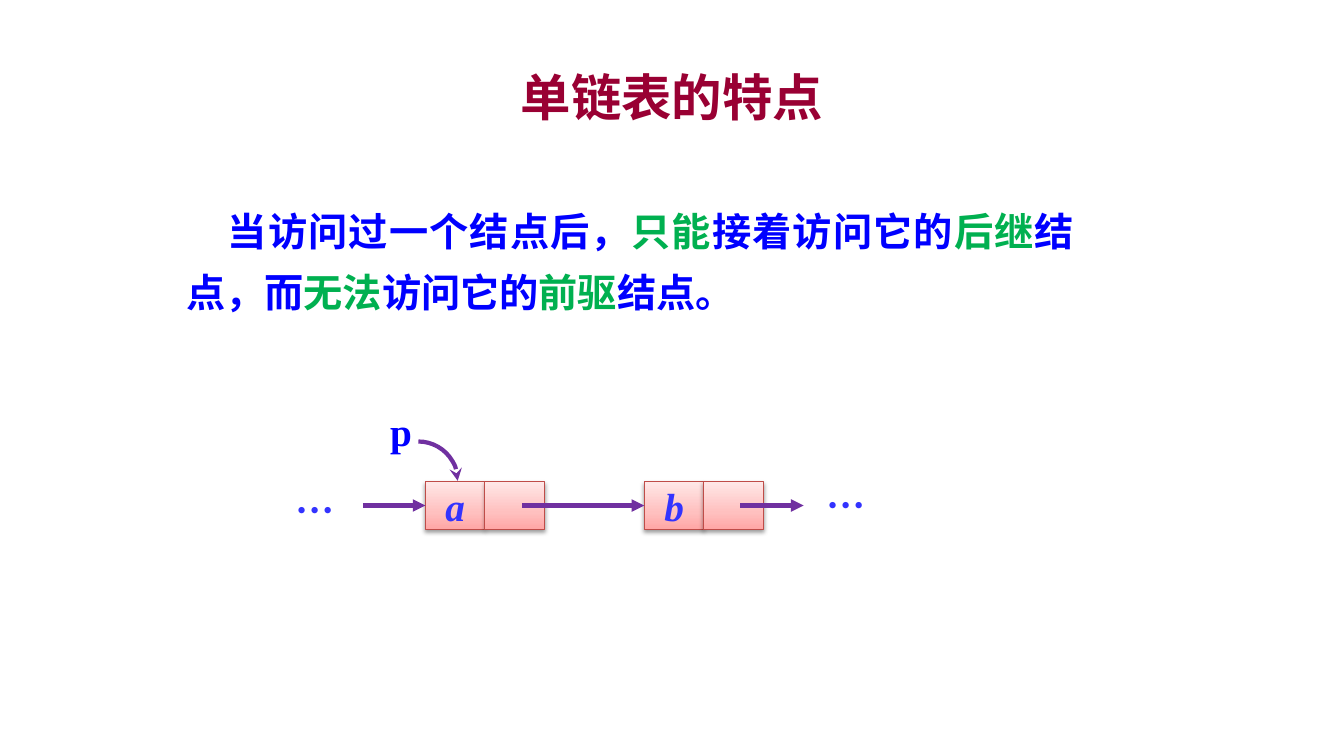
"""Build a slide on the characteristics of a singly linked list."""
from copy import deepcopy

from lxml.etree import SubElement
from pptx import Presentation
from pptx.dml.color import RGBColor
from pptx.enum.shapes import MSO_CONNECTOR as CONNECTOR, MSO_SHAPE as SHAPE
from pptx.enum.text import MSO_ANCHOR as ANCHOR, PP_ALIGN as ALIGN
from pptx.oxml.ns import qn
from pptx.util import Inches, Pt

SANS, SERIF = "Noto Sans CJK SC", "Times New Roman"
BLUE, GREEN, PURPLE, LABEL = "0000FF", "00B050", "7030A0", "3333FF"
CELL_WIDTH, CELL_HEIGHT, CELL_TOP = 0.59, 0.47, 4.78
MIDDLE = CELL_TOP + CELL_HEIGHT / 2
GRADIENT = [(0, "FFA6A5"), (0.35, "FFC0BF"), (1, "FFE7E7")]
STATEMENT = [
    ("当访问过一个结点后，", BLUE), ("只能", GREEN), ("接着访问它的", BLUE),
    ("后继", GREEN), ("结点，而", BLUE), ("无法", GREEN),
    ("访问它的", BLUE), ("前驱", GREEN), ("结点。", BLUE),
]


def rgb(color):
    """Turn a hex string into a colour."""
    return RGBColor.from_string(color)


def style_run(run, font, size, color, italic=False):
    """Format a bold run, for East Asian letters as well."""
    run.font.name, run.font.size = font, Pt(size)
    run.font.bold, run.font.italic = True, italic
    run.font.color.rgb = rgb(color)
    SubElement(run.font._element, qn("a:ea"), typeface=font)


def add_text(slide, box, parts, font=SANS, size=28, align=ALIGN.CENTER, anchor=ANCHOR.TOP):
    """Add a text box of coloured parts and return its paragraph."""
    frame = slide.shapes.add_textbox(*map(Inches, box)).text_frame
    frame.word_wrap, frame.vertical_anchor = True, anchor
    paragraph = frame.paragraphs[0]
    paragraph.alignment = align
    for text, color in parts:
        run = paragraph.add_run()
        run.text = text
        style_run(run, font, size, color)
    return paragraph


def add_cell(slide, left, text=""):
    """Add one shaded half of a list node."""
    box = map(Inches, (left, CELL_TOP, CELL_WIDTH, CELL_HEIGHT))
    cell = slide.shapes.add_shape(SHAPE.RECTANGLE, *box)
    cell.fill.gradient()
    cell.fill.gradient_angle = 90
    properties = cell._element.spPr
    stops = properties.find(".//" + qn("a:gsLst"))
    stops.insert(1, deepcopy(stops[0]))
    for stop, (position, color) in zip(cell.fill.gradient_stops, GRADIENT):
        stop.position, stop.color.rgb = position, rgb(color)
    cell.line.color.rgb, cell.line.width = rgb("BF4C48"), Pt(0.75)
    cell.shadow.inherit = False
    shadow = SubElement(properties.find(qn("a:effectLst")), qn("a:outerShdw"),
                        blurRad=str(Pt(3.1)), dist=str(Pt(1.6)), dir="5400000", rotWithShape="0")
    shade = SubElement(shadow, qn("a:srgbClr"), val="000000")
    SubElement(shade, qn("a:alpha"), val="38000")
    if text:
        frame = cell.text_frame
        frame.text, frame.word_wrap = text, False
        frame.vertical_anchor = ANCHOR.MIDDLE
        frame.paragraphs[0].alignment = ALIGN.CENTER
        style_run(frame.paragraphs[0].runs[0], SERIF, 28, LABEL, italic=True)
    return cell


def add_node(slide, left, text):
    """Add a node of a data cell and a pointer cell; return the data cell."""
    data = add_cell(slide, left, text)
    add_cell(slide, left + CELL_WIDTH, )
    return data


def style_arrow(line, head):
    """Draw a thick purple line with a head at its end."""
    line.color.rgb, line.width = rgb(PURPLE), Pt(3)
    SubElement(line._get_or_add_ln(), qn("a:tailEnd"), type=head)


def add_link(slide, start, end, target=None):
    """Add a level arrow, joined to the left side of a target cell if given."""
    ends = map(Inches, (start, MIDDLE, end, MIDDLE))
    link = slide.shapes.add_connector(CONNECTOR.STRAIGHT, *ends)
    if target is not None:
        link.end_connect(target, 1)
    style_arrow(link.line, "triangle")
    SubElement(link._element.spPr, qn("a:effectLst"))


def add_pointer(slide, left, top, diameter):
    """Add a quarter-circle arrow from the top to the right of a circle."""
    box = map(Inches, (left, top, diameter, diameter))
    pointer = slide.shapes.add_shape(SHAPE.ARC, *box)
    pointer.fill.background()
    pointer.shadow.inherit = False
    style_arrow(pointer.line, "stealth")


def main():
    """Build the slide and save it."""
    presentation = Presentation()
    presentation.slide_width, presentation.slide_height = Inches(13.33), Inches(7.5)
    slide = presentation.slides.add_slide(presentation.slide_layouts[6])

    add_text(slide, (1, 0.58, 11.33, 0.75), [("单链表的特点", "990033")],
             size=36, anchor=ANCHOR.MIDDLE)
    statement = add_text(slide, (1.75, 1.87, 9, 1.24), STATEMENT, align=ALIGN.JUSTIFY)
    statement.line_spacing = 1.3
    statement._p.get_or_add_pPr().set("indent", str(Inches(0.41)))

    node_a = add_node(slide, 4.22, "a")
    node_b = add_node(slide, 6.39, "b")
    add_link(slide, 3.6, 4.22, node_a)
    add_link(slide, 5.18, 6.39, node_b)
    add_link(slide, 7.34, 7.97)
    add_text(slide, (2.81, 4.78, 0.63, 0.57), [("…", LABEL)])
    add_text(slide, (8.08, 4.73, 0.63, 0.57), [("…", LABEL)])

    add_text(slide, (3.77, 3.99, 0.47, 0.57), [("p", BLUE)], font=SERIF, align=ALIGN.LEFT)
    add_pointer(slide, 3.76, 4.38, 0.78)
    presentation.save("out.pptx")


if __name__ == "__main__":
    main()
